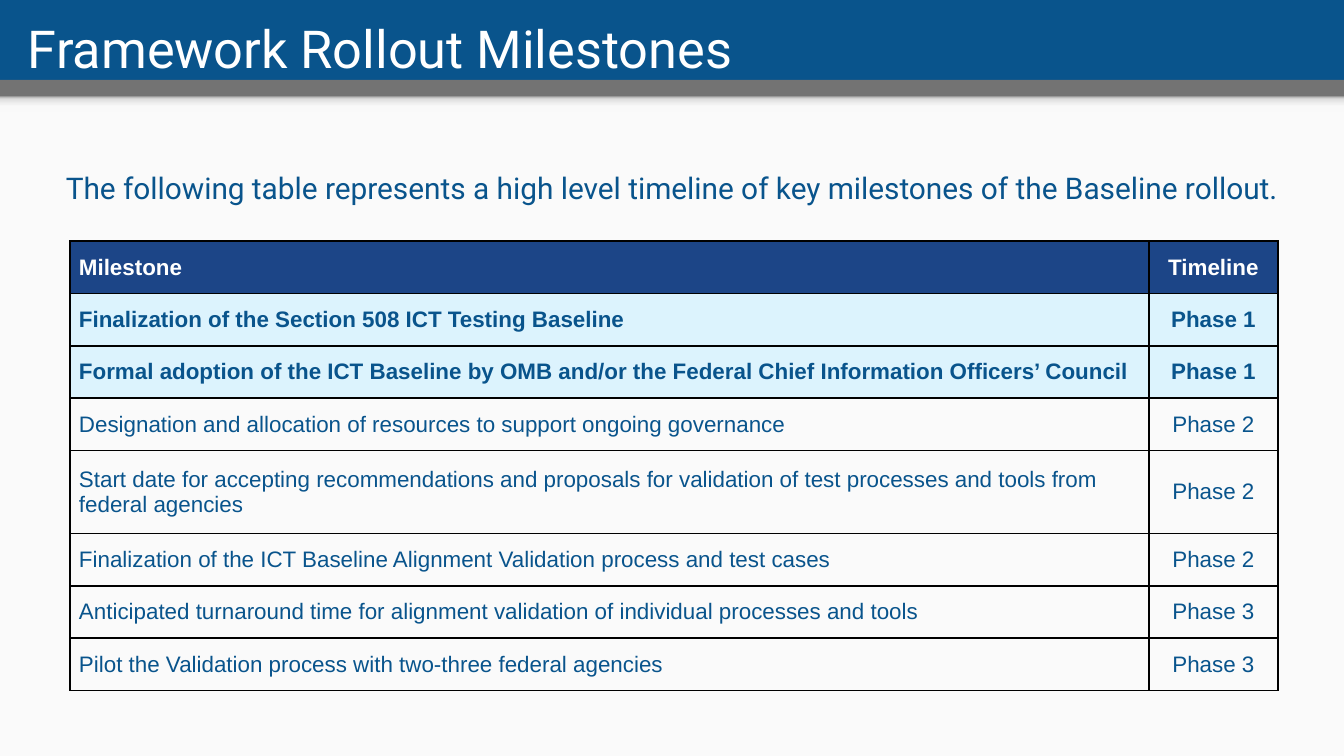
"""Builds the slide with the framework rollout milestones table."""
from copy import deepcopy

from lxml import etree
from pptx import Presentation
from pptx.dml.color import RGBColor
from pptx.enum.shapes import MSO_SHAPE
from pptx.enum.text import MSO_ANCHOR, MSO_AUTO_SIZE, PP_ALIGN
from pptx.oxml.ns import qn
from pptx.util import Pt

RECT = MSO_SHAPE.RECTANGLE
LEFT, CENTER = PP_ALIGN.LEFT, PP_ALIGN.CENTER
TOP, MIDDLE = MSO_ANCHOR.TOP, MSO_ANCHOR.MIDDLE
NO_AUTOFIT = MSO_AUTO_SIZE.NONE
TITLE_ONLY = 5
BLUE, NAVY, PALE, WHITE = "09548C", "1C4587", "DCF3FD", "FFFFFF"
EMU_PER_PX = 914400 / 134.4


def px(*lengths):
    return [round(length * EMU_PER_PX) for length in lengths]


def write(frame, text, size, font, color, bold=False, align=LEFT, anchor=TOP, inset=13):
    frame.word_wrap = True
    frame.vertical_anchor = anchor
    margin, = px(inset)
    frame.margin_left = frame.margin_right = margin
    frame.margin_top = frame.margin_bottom = margin
    paragraph = frame.paragraphs[0]
    paragraph.alignment = align
    run = paragraph.add_run()
    run.text = text
    run.font.size, run.font.name, run.font.bold = Pt(size), font, bold
    run.font.color.rgb = RGBColor.from_string(color)
    return paragraph


deck = Presentation()
deck.slide_width, deck.slide_height = px(1344, 756)
slide = deck.slides.add_slide(deck.slide_layouts[TITLE_ONLY])
shapes = slide.shapes
slide.background.fill.solid()
slide.background.fill.fore_color.rgb = RGBColor.from_string(BLUE)

bands = []
for top, height, color in [(96, 660, "FAFAFA"), (96, 16, "F9F9F9"), (80, 16, "737373")]:
    band = shapes.add_shape(RECT, *px(0, top, 1344, height))
    band.shadow.inherit = False
    band.line.fill.background()
    band.fill.solid()
    band.fill.fore_color.rgb = RGBColor.from_string(color)
    bands.append(band)

fade = bands[1].fill
fade.gradient()
fade.gradient_angle = 90
stop_list = bands[1]._element.spPr.find(qn("a:gradFill")).find(qn("a:gsLst"))
for _ in range(2):
    stop_list.append(deepcopy(stop_list[0]))
fade_stops = [(0, "F9F9F9"), (0.36, "F9F9F9"), (0.8, "DEDEDE"), (1, "999999")]
for stop, (position, color) in zip(fade.gradient_stops, fade_stops):
    stop.position = position
    stop.color.rgb = RGBColor.from_string(color)

title = shapes.title
title.left, title.top, title.width, title.height = px(15, 3, 1296, 89)
write(title.text_frame, "Framework Rollout Milestones", 28, "Roboto", WHITE, anchor=MIDDLE)
title.text_frame.auto_size = NO_AUTOFIT
shapes._spTree.append(title._element)

intro = shapes.add_textbox(*px(41, 151, 1262, 56))
intro_line = write(
    intro.text_frame,
    "The following table represents a high level timeline of key milestones of the Baseline rollout.",
    16, "Roboto", BLUE, align=CENTER)
intro_line.line_spacing = 1.15
intro_line.space_after = Pt(16)

milestones = [
    ("Milestone", "Timeline"),
    ("Finalization of the Section 508 ICT Testing Baseline", "Phase 1"),
    ("Formal adoption of the ICT Baseline by OMB and/or the Federal Chief Information Officers’ Council",
     "Phase 1"),
    ("Designation and allocation of resources to support ongoing governance", "Phase 2"),
    ("Start date for accepting recommendations and proposals for validation of test processes and tools "
     "from federal agencies", "Phase 2"),
    ("Finalization of the ICT Baseline Alignment Validation process and test cases", "Phase 2"),
    ("Anticipated turnaround time for alignment validation of individual processes and tools", "Phase 3"),
    ("Pilot the Validation process with two-three federal agencies", "Phase 3"),
]
TWO_LINE_ROW = 4
table = shapes.add_table(len(milestones), 2, *px(70, 241, 1208, 450)).table
table.columns[0].width, table.columns[1].width = px(1079, 129)
tall, all_others = px(83, 367)

for r, entries in enumerate(milestones):
    table.rows[r].height = tall if r == TWO_LINE_ROW else all_others // 7
    fill = NAVY if r == 0 else PALE if entries[1] == "Phase 1" else None
    for c, text in enumerate(entries):
        cell = table.cell(r, c)
        write(cell.text_frame, text, 12, "Arial", BLUE if r else WHITE,
              bold=fill is not None, align=CENTER if c else LEFT)
        cell.vertical_anchor = MIDDLE
        margin, = px(9)
        cell.margin_left = cell.margin_right = margin
        cell.margin_top = cell.margin_bottom = margin
        properties = cell._tc.get_or_add_tcPr()
        for side in ("lnL", "lnR", "lnT", "lnB"):
            border = etree.SubElement(properties, qn(f"a:{side}"), w=str(Pt(1)))
            ink = etree.SubElement(border, qn("a:solidFill"))
            etree.SubElement(ink, qn("a:srgbClr"), val="000000")
        if fill:
            cell.fill.solid()
            cell.fill.fore_color.rgb = RGBColor.from_string(fill)
        else:
            cell.fill.background()

deck.save("out.pptx")
